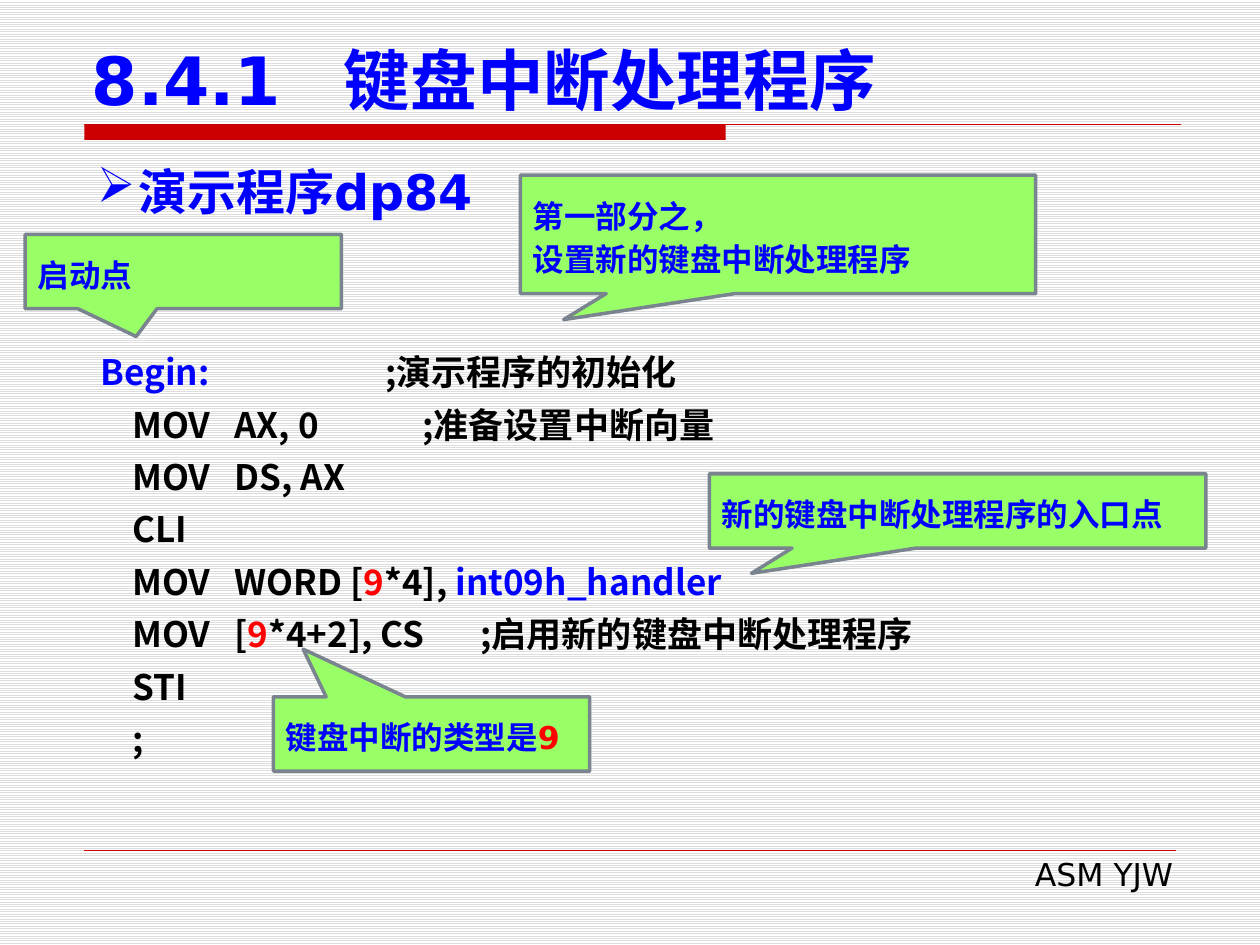
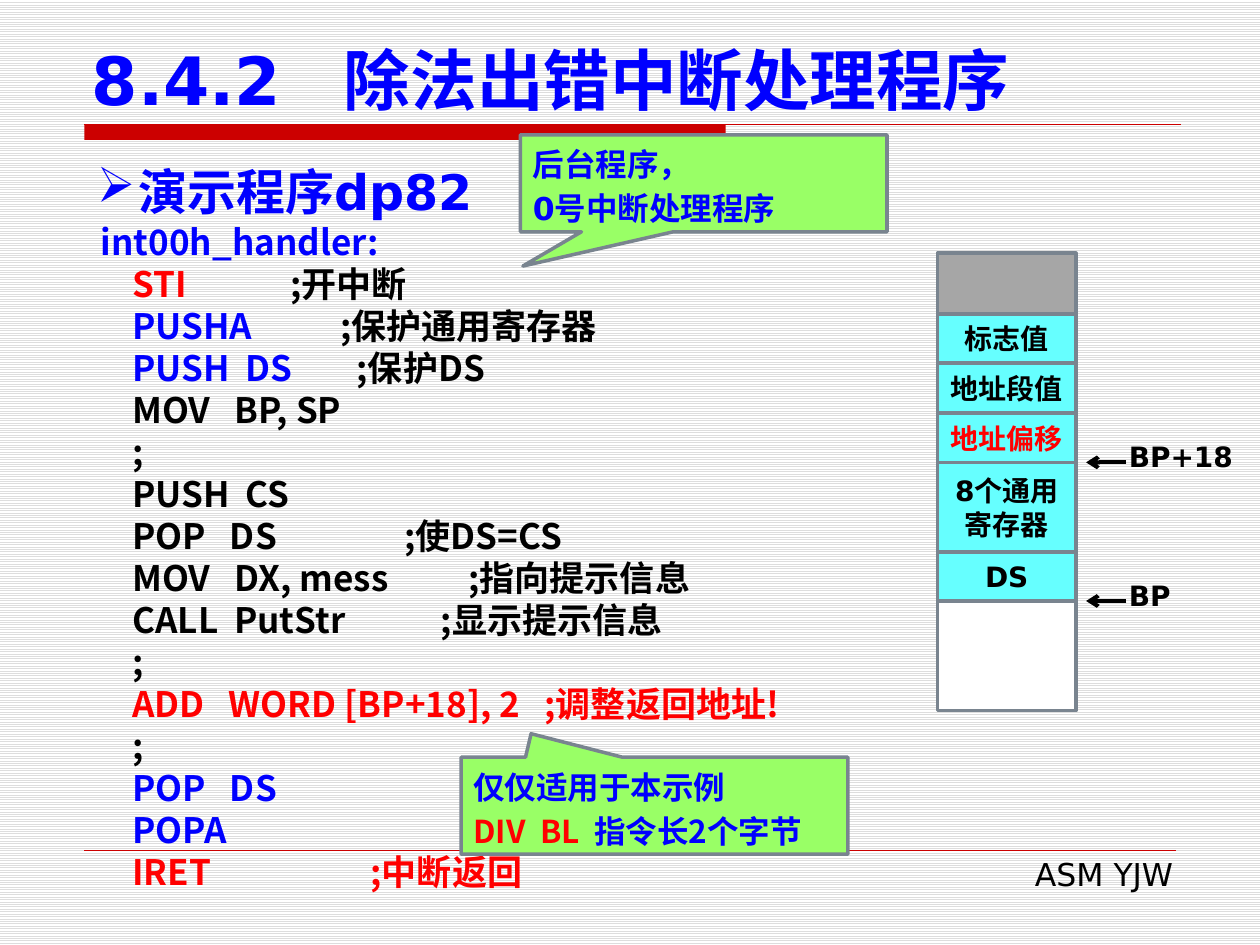
from lxml import etree
from pptx import Presentation
from pptx.dml.color import RGBColor
from pptx.enum.dml import MSO_PATTERN
from pptx.enum.shapes import MSO_CONNECTOR, MSO_SHAPE
from pptx.enum.text import MSO_ANCHOR, MSO_AUTO_SIZE, PP_ALIGN
from pptx.oxml.ns import qn
from pptx.util import Inches, Pt

STRAIGHT = MSO_CONNECTOR.STRAIGHT
RECTANGLE = MSO_SHAPE.RECTANGLE
CALLOUT = MSO_SHAPE.RECTANGULAR_CALLOUT
TOP, MIDDLE, BOTTOM = MSO_ANCHOR.TOP, MSO_ANCHOR.MIDDLE, MSO_ANCHOR.BOTTOM
LEFT, CENTER, RIGHT = PP_ALIGN.LEFT, PP_ALIGN.CENTER, PP_ALIGN.RIGHT
STRIPES = MSO_PATTERN.LIGHT_HORIZONTAL
TITLE_ONLY = 5

SANS, CJK = "DejaVu Sans", "Noto Sans CJK SC"
BLUE, RED, BLACK, WHITE = "0000FF", "FF0000", "000000", "FFFFFF"
BAND, STRIPE, OUTLINE = "CC0000", "DDDDDD", "79848F"
GREEN, CYAN, GRAY = "99FF66", "66FFFF", "A6A6A6"

INSTALL_CODE = [
    [("Begin:                      ", BLUE), (";演示程序的初始化", BLACK)],
    "    MOV   AX, 0             ;准备设置中断向量",
    "    MOV   DS, AX",
    "    CLI",
    [("    MOV   WORD [", BLACK), ("9", RED), ("*4], ", BLACK), ("int09h_handler", BLUE)],
    [("    MOV   [", BLACK), ("9", RED), ("*4+2], CS       ;启用新的键盘中断处理程序", BLACK)],
    "    STI",
    "    ;",
]
HANDLER_CODE = [
    [("int00h_handler:", BLUE)],
    [("    STI", RED), ("             ;开中断", BLACK)],
    [("    PUSHA           ", BLUE), (";保护通用寄存器", BLACK)],
    [("    PUSH  DS        ", BLUE), (";保护DS", BLACK)],
    "    MOV   BP, SP",
    "    ;",
    "    PUSH  CS",
    "    POP   DS                ;使DS=CS",
    "    MOV   DX, mess          ;指向提示信息",
    "    CALL  PutStr            ;显示提示信息",
    "    ;",
    [("    ADD   WORD [BP+18], 2   ;调整返回地址!", RED)],
    "    ;",
    [("    POP   DS", BLUE)],
    [("    POPA", BLUE)],
    [("    IRET                    ;中断返回", RED)],
]
STACK_ROWS = [
    (0.48, [], GRAY, BLACK, None),
    (0.39, ["标志值"], CYAN, BLACK, None),
    (0.4, ["地址段值"], CYAN, BLACK, None),
    (0.39, ["地址偏移"], CYAN, RED, "BP+18"),
    (0.71, ["8个通用", "寄存器"], CYAN, BLACK, None),
    (0.39, ["DS"], CYAN, BLACK, "BP"),
    (0.87, [], WHITE, BLACK, None),
]


def rgb(value):
    """Turn a hex string into a colour."""
    return RGBColor.from_string(value)


def inches(box):
    """Turn a box of plain numbers into lengths."""
    return [Inches(number) for number in box]


def write(shape, lines, size=18, color=BLACK, font=SANS, bold=True, align=LEFT,
          anchor=TOP, spacing=None, bullet=None, tab=None, margin=0.1):
    """Fill a shape with lines, each a string or a list of coloured pieces."""
    frame = shape.text_frame
    frame.word_wrap = True
    frame.auto_size = MSO_AUTO_SIZE.NONE
    frame.vertical_anchor = anchor
    frame.margin_left = Inches(margin)
    frame.margin_right = Inches(margin)
    for index, line in enumerate(lines):
        paragraph = frame.add_paragraph() if index else frame.paragraphs[0]
        paragraph.alignment = align
        if spacing:
            paragraph.line_spacing = Pt(spacing)
        properties = paragraph._p.get_or_add_pPr()
        if bullet:
            properties.set("marL", str(Inches(0.33)))
            properties.set("indent", str(-Inches(0.33)))
            etree.SubElement(properties, qn("a:buChar"), char=bullet)
        if tab:
            stops = etree.SubElement(properties, qn("a:tabLst"))
            etree.SubElement(stops, qn("a:tab"), pos=str(Inches(tab)), algn="l")
        for text, run_color in [(line, color)] if isinstance(line, str) else line:
            run = paragraph.add_run()
            run.text = text
            run.font.name = font
            run.font.size = Pt(size)
            run.font.bold = bold
            run.font.color.rgb = rgb(run_color)
            etree.SubElement(run._r.get_or_add_rPr(), qn("a:ea"), typeface=CJK)


def add_text(slide, box, lines, **text_format):
    """Add a text box."""
    write(slide.shapes.add_textbox(*inches(box)), lines, **text_format)


def add_box(slide, kind, box, fill, outline=OUTLINE):
    """Add a filled and outlined preset shape."""
    shape = slide.shapes.add_shape(kind, *inches(box))
    shape.shadow.inherit = False
    shape.fill.solid()
    shape.fill.fore_color.rgb = rgb(fill)
    if outline:
        shape.line.color.rgb = rgb(outline)
        shape.line.width = Pt(2)
    else:
        shape.line.fill.background()
    return shape


def add_line(slide, start, end, color, width, arrow=False):
    """Add a straight line, with an arrowhead at its end if asked."""
    connector = slide.shapes.add_connector(STRAIGHT, *inches(start + end))
    connector.line.color.rgb = rgb(color)
    connector.line.width = Pt(width)
    if arrow:
        etree.SubElement(connector.line._get_or_add_ln(), qn("a:tailEnd"), type="arrow")
    etree.SubElement(connector._element.spPr, qn("a:effectLst"))


def add_callout(slide, box, pointer, lines, font=SANS):
    """Add a green callout whose tip lies at the pointer offsets."""
    shape = add_box(slide, CALLOUT, box, GREEN)
    shape.adjustments[0], shape.adjustments[1] = pointer
    write(shape, lines, color=BLUE, font=font, anchor=MIDDLE, spacing=25)


def add_stack(slide, left, top, width):
    """Draw the stack cells and the pointers at their lower edges."""
    for height, lines, fill, color, pointer in STACK_ROWS:
        cell = add_box(slide, RECTANGLE, (left, top, width, height), fill)
        if lines:
            write(cell, lines, size=16, color=color, align=CENTER, anchor=MIDDLE, margin=0.02)
        top += height
        if pointer:
            right = left + width
            add_line(slide, (right + 0.4, top), (right + 0.08, top), BLACK, 2.25, arrow=True)
            add_text(slide, (right + 0.37, top - 0.23, 1.1, 0.37), [pointer],
                     size=16, margin=0.05)


def add_lesson_slide(presentation, number, title, program):
    """Start a slide with its background, title, bands, footer and program name."""
    slide = presentation.slides.add_slide(presentation.slide_layouts[TITLE_ONLY])
    background = slide.background.fill
    background.patterned()
    background.pattern = STRIPES
    background.fore_color.rgb = rgb(STRIPE)
    background.back_color.rgb = rgb(WHITE)
    heading = slide.shapes.title
    heading.left, heading.top, heading.width, heading.height = inches((0.63, 0.33, 8.75, 0.66))
    write(heading, [f"{number}\t{title}"], size=38, color=BLUE, anchor=BOTTOM, tab=2)
    add_box(slide, RECTANGLE, (0.67, 0.99, 5.09, 0.12), BAND, outline=None)
    add_line(slide, (0.67, 0.99), (9.37, 0.99), BAND, 0.75)
    add_line(slide, (0.67, 6.75), (9.33, 6.75), BAND, 0.25)
    add_text(slide, (3.82, 6.74, 5.59, 0.4), ["ASM YJW"], bold=False, align=RIGHT)
    add_text(slide, (0.67, 1.23, 8.66, 0.57), [f"演示程序{program}"],
             size=28, color=BLUE, bullet="➢")
    return slide


def add_keyboard_slide(presentation):
    """Build the slide on installing the keyboard handler."""
    slide = add_lesson_slide(presentation, "8.4.1", "键盘中断处理程序", "dp84")
    add_text(slide, (0.7, 2.65, 7.69, 3.47), INSTALL_CODE, size=20, font=CJK, spacing=30)
    add_callout(slide, (4.13, 1.39, 4.09, 0.94), (-0.416, 0.72),
                ["第一部分之，", "设置新的键盘中断处理程序"])
    add_callout(slide, (2.17, 5.53, 2.51, 0.59), (-0.406, -1.141),
                [[("键盘中断的类型是", BLUE), ("9", RED)]])
    add_callout(slide, (0.2, 1.86, 2.51, 0.59), (-0.149, 0.874), ["启动点"])
    add_callout(slide, (5.63, 3.76, 3.94, 0.59), (-0.415, 0.839),
                ["新的键盘中断处理程序的入口点"])


def add_division_slide(presentation):
    """Build the slide on the division error handler and its stack."""
    slide = add_lesson_slide(presentation, "8.4.2", "除法出错中断处理程序", "dp82")
    add_text(slide, (0.7, 1.7, 6.27, 5.49), HANDLER_CODE, size=20, font=CJK, spacing=24)
    add_callout(slide, (4.13, 1.07, 2.91, 0.77), (-0.493, 0.853),
                ["后台程序，", "0号中断处理程序"])
    add_callout(slide, (3.66, 6.01, 3.07, 0.77), (-0.319, -0.742),
                ["仅仅适用于本示例", [("DIV  BL  ", RED), ("指令长2个字节", BLUE)]], font=CJK)
    add_stack(slide, 7.44, 2.01, 1.1)


def main():
    """Build and save the presentation."""
    presentation = Presentation()
    presentation.slide_width, presentation.slide_height = Inches(10), Inches(7.5)
    add_keyboard_slide(presentation)
    add_division_slide(presentation)
    presentation.save("out.pptx")


if __name__ == "__main__":
    main()
